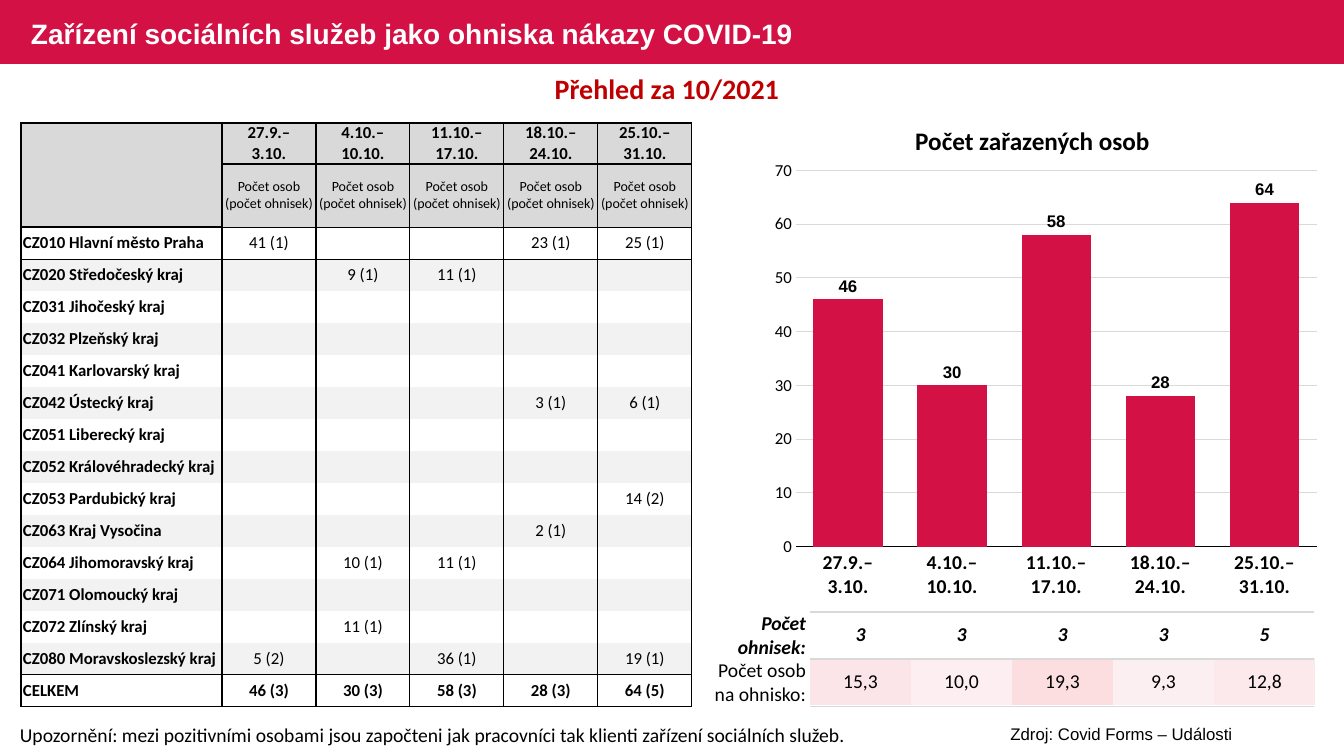
from lxml.etree import SubElement
from pptx import Presentation
from pptx.chart.data import CategoryChartData
from pptx.dml.color import RGBColor
from pptx.enum.chart import XL_CHART_TYPE, XL_LABEL_POSITION, XL_TICK_MARK
from pptx.enum.shapes import MSO_SHAPE
from pptx.enum.text import MSO_ANCHOR, PP_ALIGN
from pptx.oxml.ns import qn
from pptx.util import Pt

PX = 914400 / 100.8
COLORS = {
    "crimson": "D31145", "red": "C00000", "black": "000000", "white": "FFFFFF",
    "header": "D9D9D9", "band": "F2F2F2", "grid": "D9D9D9",
    "ratio_1": "FCE5E8", "ratio_2": "FCEEF1", "ratio_3": "FCDEE1",
    "ratio_4": "FCEFF2", "ratio_5": "FCE9EC",
}
NO_STYLE = "{2D5ABB26-0587-4C30-8999-92F81FD0307C}"
BASE = {"name": "Calibri", "size": Pt(12), "bold": False, "italic": False}
BOLD = {**BASE, "bold": True}
SMALL = {**BASE, "size": Pt(10)}
LARGE = {**BASE, "size": Pt(14)}
EMPHASIS = {**LARGE, "bold": True, "italic": True}

WEEKS = ["27.9.–\n3.10.", "4.10.–\n10.10.", "11.10.–\n17.10.",
         "18.10.–\n24.10.", "25.10.–\n31.10."]
PEOPLE = [46, 30, 58, 28, 64]
OUTBREAKS = ["3", "3", "3", "3", "5"]
RATIOS = ["15,3", "10,0", "19,3", "9,3", "12,8"]
REGIONS = {
    "CZ010 Hlavní město Praha": {1: "41 (1)", 4: "23 (1)", 5: "25 (1)"},
    "CZ020 Středočeský kraj": {2: "9 (1)", 3: "11 (1)"},
    "CZ031 Jihočeský kraj": {},
    "CZ032 Plzeňský kraj": {},
    "CZ041 Karlovarský kraj": {},
    "CZ042 Ústecký kraj": {4: "3 (1)", 5: "6 (1)"},
    "CZ051 Liberecký kraj": {},
    "CZ052 Královéhradecký kraj": {},
    "CZ053 Pardubický kraj": {5: "14 (2)"},
    "CZ063 Kraj Vysočina": {4: "2 (1)"},
    "CZ064 Jihomoravský kraj": {2: "10 (1)", 3: "11 (1)"},
    "CZ071 Olomoucký kraj": {},
    "CZ072 Zlínský kraj": {2: "11 (1)"},
    "CZ080 Moravskoslezský kraj": {1: "5 (2)", 3: "36 (1)", 5: "19 (1)"},
}


def px(*lengths):
    """Turn pixel lengths into EMU."""
    return [round(length * PX) for length in lengths]


def rgb(color):
    """Return a named colour."""
    return RGBColor.from_string(COLORS[color])


def style_font(font, values, color="black"):
    """Apply format values and a colour to a font."""
    for name, value in values.items():
        setattr(font, name, value)
    font.color.rgb = rgb(color)


def write(para, text, values, color="black", align=PP_ALIGN.LEFT):
    """Write formatted text into a paragraph."""
    para.alignment = align
    para.text = text
    for span in para.runs:
        style_font(span.font, values, color)
    size = str(int(values["size"].pt * 100))
    for line_break in para._p.findall(qn("a:br")):
        SubElement(line_break, qn("a:rPr"), sz=size)
    if not text:
        SubElement(para._p, qn("a:endParaRPr"), sz=size)


def add_text(page, area, text, values, color="black", align=PP_ALIGN.LEFT,
             anchor=MSO_ANCHOR.TOP):
    """Add a wrapped text box."""
    frame = page.shapes.add_textbox(*px(*area)).text_frame
    frame.word_wrap = True
    frame.vertical_anchor = anchor
    write(frame.paragraphs[0], text, values, color, align)


def add_band(page):
    """Add the coloured band behind the slide title."""
    band = page.shapes.add_shape(MSO_SHAPE.RECTANGLE, *px(0, 0, 1344, 64))
    band.shadow.inherit = False
    band.fill.solid()
    band.fill.fore_color.rgb = rgb("crimson")
    band.line.fill.background()


def add_table(page, left, top, widths, heights):
    """Add an unstyled table with given column widths and row heights."""
    area = px(left, top, sum(widths), sum(heights))
    table = page.shapes.add_table(len(heights), len(widths), *area).table
    table.first_row = table.horz_banding = False
    table._tbl.tblPr.find(qn("a:tableStyleId")).text = NO_STYLE
    for column, width in zip(table.columns, px(*widths)):
        column.width = width
    for row, height in zip(table.rows, px(*heights)):
        row.height = height
    return table


def fill_cell(cell, text, values, align=PP_ALIGN.CENTER, fill=None,
              borders=None, line="black", right=1):
    """Set a cell's text, margins, border widths by side, and fill."""
    cell.margin_left, cell.margin_right = px(2 if align == PP_ALIGN.LEFT else 1, right)
    cell.margin_top = cell.margin_bottom = 0
    cell.vertical_anchor = MSO_ANCHOR.MIDDLE
    write(cell.text_frame.paragraphs[0], text, values, align=align)
    properties = cell._tc.get_or_add_tcPr()
    for side in "LRTB":
        if side in (borders or {}):
            edge = SubElement(properties, qn("a:ln" + side), w=str(Pt(borders[side])))
            solid = SubElement(edge, qn("a:solidFill"))
            SubElement(solid, qn("a:srgbClr"), val=COLORS[line])
    if fill:
        cell.fill.solid()
        cell.fill.fore_color.rgb = rgb(fill)
    else:
        cell.fill.background()


def add_region_table(page):
    """Add the table of people and outbreaks by region and week."""
    totals = [f"{people} ({count})" for people, count in zip(PEOPLE, OUTBREAKS)]
    rows = [["", *WEEKS], [""] + ["Počet osob (počet ohnisek)"] * len(WEEKS)]
    rows += [[region, *(cases.get(week, "") for week in range(1, 6))]
             for region, cases in REGIONS.items()]
    rows.append(["CELKEM", *totals])
    last = len(rows) - 1
    extra = {0: {"T": 1, "B": 1}, 1: {"T": 1, "B": 0.5}, 2: {"T": 0.5},
             last - 1: {"B": 1}, last: {"T": 1, "B": 1}}
    table = add_table(page, 21, 123, [201] + [94] * 5, [41, 63] + [32] * (last - 1))
    for row, texts in enumerate(rows):
        fill = "header" if row < 2 else "band" if row % 2 and row < last else None
        borders = {"L": 1, "R": 1, **extra.get(row, {})}
        for column, text in enumerate(texts):
            strong = column == 0 or row in (0, last)
            values = BOLD if strong else SMALL if row == 1 else BASE
            align = PP_ALIGN.CENTER if column else PP_ALIGN.LEFT
            fill_cell(table.cell(row, column), text, values, align, fill, borders)
    table.cell(0, 0).merge(table.cell(1, 0))


def add_ratio_table(page):
    """Add the outbreak counts and people per outbreak."""
    table = add_table(page, 810, 611, [101] * 5, [47] * 2)
    for column, (count, ratio) in enumerate(zip(OUTBREAKS, RATIOS)):
        fill_cell(table.cell(0, column), count, EMPHASIS)
        fill_cell(table.cell(1, column), ratio, LARGE, fill=f"ratio_{column + 1}")


def add_label_table(page):
    """Add the row labels and the rules beside them."""
    table = add_table(page, 710, 612, [100] + [72] * 7, [47] * 2)
    labels = [("Počet ohnisek:", EMPHASIS), ("Počet osob na ohnisko:", LARGE)]
    for row, (label, values) in enumerate(labels):
        fill_cell(table.cell(row, 0), label, values, PP_ALIGN.RIGHT, right=4)
        for column in range(1, 8):
            fill_cell(table.cell(row, column), "", LARGE,
                      borders={"T": 1, "B": 1}, line="grid")


def add_people_chart(page):
    """Add the column chart of people by week."""
    data = CategoryChartData()
    data.categories = WEEKS
    data.add_series("Počet zařazených osob", PEOPLE)
    chart = page.shapes.add_chart(XL_CHART_TYPE.COLUMN_CLUSTERED,
                                  *px(762, 152, 566, 459), data).chart
    chart.has_title = chart.has_legend = False
    style_font(chart.font, {**EMPHASIS, "name": "Arial", "italic": False})
    plot = chart.plots[0]
    plot.gap_width = 50
    plot.vary_by_categories = False
    bars = plot.series[0].format.fill
    bars.solid()
    bars.fore_color.rgb = rgb("crimson")
    plot.has_data_labels = True
    labels = plot.data_labels
    labels.show_value = True
    labels.position = XL_LABEL_POSITION.OUTSIDE_END
    style_font(labels.font, {**BOLD, "name": "Arial"})
    weeks, people = chart.category_axis, chart.value_axis
    for axis, values in ((weeks, {**LARGE, "bold": True}), (people, BASE)):
        axis.major_tick_mark = axis.minor_tick_mark = XL_TICK_MARK.NONE
        style_font(axis.tick_labels.font, values)
    people.minimum_scale, people.maximum_scale, people.major_unit = 0, 70, 10
    people.format.line.fill.background()
    for line, color in ((weeks.format.line, "black"),
                        (people.major_gridlines.format.line, "grid")):
        line.color.rgb = rgb(color)
        line.width = Pt(0.75)
    area = chart._chartSpace.chart.plotArea
    layout = area.find(qn("c:layout"))
    if layout is None:
        layout = SubElement(area, qn("c:layout"))
        area.insert(0, layout)
    manual = SubElement(layout, qn("c:manualLayout"))
    for name, value in {"layoutTarget": "inner", "xMode": "edge", "yMode": "edge",
                        "x": 0.06, "y": 0.04, "w": 0.92, "h": 0.82}.items():
        SubElement(manual, qn("c:" + name), val=str(value))


def main():
    """Build and save the slide."""
    deck = Presentation()
    deck.slide_width, deck.slide_height = px(1344, 756)
    page = deck.slides.add_slide(deck.slide_layouts[6])
    heading = {**BOLD, "size": Pt(20)}
    add_band(page)
    add_ratio_table(page)
    add_text(page, (10, 718, 859, 34),
             "Upozornění: mezi pozitivními osobami jsou započteni jak pracovníci "
             "tak klienti zařízení sociálních služeb.", LARGE)
    add_text(page, (21, 2, 820, 63),
             "Zařízení sociálních služeb jako ohniska nákazy COVID-19",
             {**heading, "name": "Arial"}, "white", anchor=MSO_ANCHOR.MIDDLE)
    add_text(page, (910, 719, 423, 30), "Zdroj: Covid Forms – Události",
             {**BASE, "name": "Arial"}, align=PP_ALIGN.CENTER)
    add_text(page, (21, 67, 1292, 44), "Přehled za 10/2021", heading, "red",
             PP_ALIGN.CENTER)
    add_region_table(page)
    add_people_chart(page)
    add_text(page, (762, 120, 541, 40), "Počet zařazených osob",
             {**BOLD, "size": Pt(18)}, align=PP_ALIGN.CENTER)
    add_label_table(page)
    deck.save("out.pptx")


if __name__ == "__main__":
    main()
